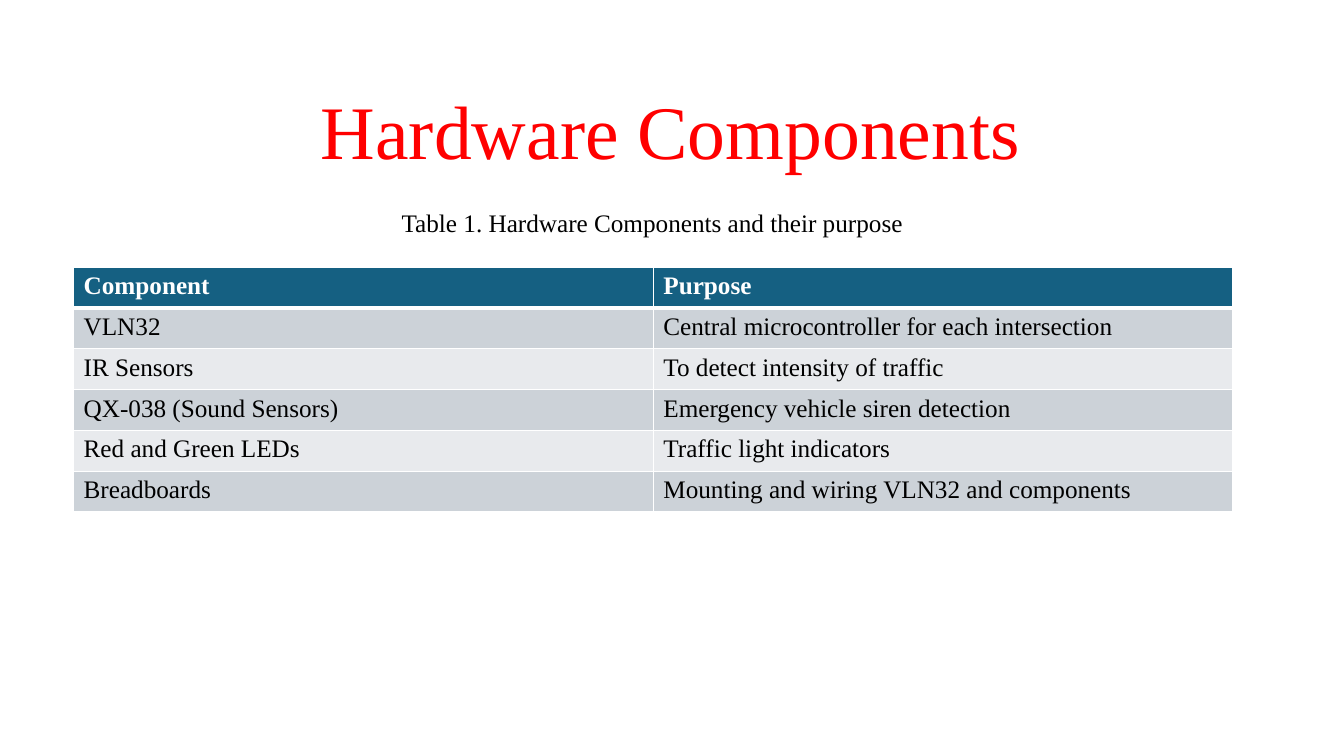
from typing import NamedTuple

from lxml.etree import SubElement
from pptx import Presentation
from pptx.dml.color import RGBColor
from pptx.enum.text import MSO_ANCHOR as Anchor, MSO_AUTO_SIZE as AutoSize, PP_ALIGN as Align
from pptx.oxml.ns import qn
from pptx.util import Inches, Pt

FONT = "Times New Roman"
WHITE, BLACK, RED = "FFFFFF", "000000", "FF0000"
HEADER_FILL = "156082"
BAND_FILLS = ("CCD2D8", "E8EAED")
TABLE_LEFT, TABLE_TOP = 0.73, 2.65
TABLE_WIDTH, TABLE_HEIGHT = 11.5, 2.43


class Component(NamedTuple):
    name: str
    purpose: str


ROWS = [
    Component("Component", "Purpose"),
    Component("VLN32", "Central microcontroller for each intersection"),
    Component("IR Sensors", "To detect intensity of traffic"),
    Component("QX-038 (Sound Sensors)", "Emergency vehicle siren detection"),
    Component("Red and Green LEDs", "Traffic light indicators"),
    Component("Breadboards", "Mounting and wiring VLN32 and components"),
]


def rgb(color: str) -> RGBColor:
    return RGBColor.from_string(color)


def write(frame, text: str, size: int, color: str, bold: bool = False, align=Align.LEFT) -> None:
    frame.text = text
    para = frame.paragraphs[0]
    para.alignment = align
    font = para.runs[0].font
    font.name, font.size, font.bold = FONT, Pt(size), bold
    font.color.rgb = rgb(color)


def add_borders(cell, top: int, bottom: int) -> None:
    """Draw white borders; must run before the cell is filled."""
    properties = cell._tc.get_or_add_tcPr()
    for side, width in (("L", 1), ("R", 1), ("T", top), ("B", bottom)):
        line = SubElement(properties, qn(f"a:ln{side}"), w=str(Pt(width)))
        fill = SubElement(line, qn("a:solidFill"))
        SubElement(fill, qn("a:srgbClr"), val=WHITE)


def add_title(slide) -> None:
    title = slide.shapes.title
    title.left, title.top = Inches(3.05), Inches(0.78)
    title.width, title.height = Inches(7.2), Inches(1.01)
    frame = title.text_frame
    write(frame, "Hardware Components", 54, RED, align=Align.CENTER)
    frame.word_wrap = False
    frame.auto_size = AutoSize.SHAPE_TO_FIT_TEXT
    frame.vertical_anchor = Anchor.TOP


def add_caption(slide) -> None:
    box = slide.shapes.add_textbox(Inches(0.71), Inches(2.01), Inches(11.52), Inches(0.4))
    box.text_frame.word_wrap = True
    write(box.text_frame, "Table 1. Hardware Components and their purpose", 18, BLACK,
          align=Align.CENTER)


def add_component_table(slide) -> None:
    table = slide.shapes.add_table(
        len(ROWS), len(Component._fields), Inches(TABLE_LEFT), Inches(TABLE_TOP),
        Inches(TABLE_WIDTH), Inches(TABLE_HEIGHT)).table
    for row, component in enumerate(ROWS):
        header = row == 0
        for column, text in enumerate(component):
            cell = table.cell(row, column)
            add_borders(cell, top=3 if row == 1 else 1, bottom=3 if header else 1)
            cell.fill.solid()
            cell.fill.fore_color.rgb = rgb(HEADER_FILL if header else BAND_FILLS[(row - 1) % 2])
            write(cell.text_frame, text, 18, WHITE if header else BLACK, bold=header)


def main() -> None:
    deck = Presentation()
    deck.slide_width, deck.slide_height = Inches(13.33), Inches(7.5)
    slide = deck.slides.add_slide(deck.slide_layouts.get_by_name("Title Only"))
    add_component_table(slide)
    add_title(slide)
    add_caption(slide)
    deck.save("out.pptx")


if __name__ == "__main__":
    main()
